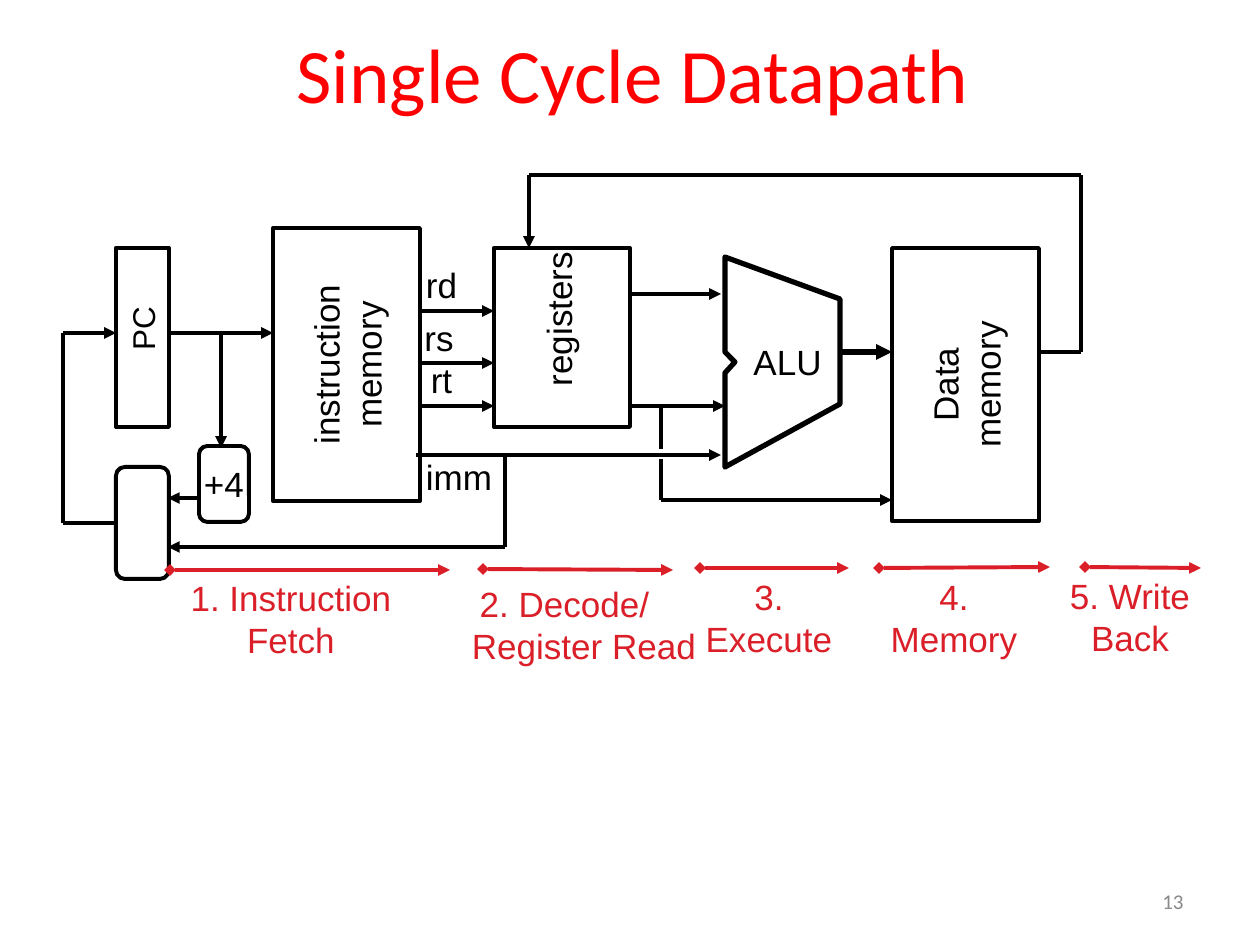
"""Build the single cycle datapath slide."""
import itertools

import pptx
import pptx.dml.color
import pptx.enum.shapes
import pptx.enum.text
import pptx.oxml
import pptx.oxml.ns
import pptx.util

PX = 914400 / 126
SHAPE = pptx.enum.shapes.MSO_SHAPE
ALIGN = pptx.enum.text.PP_ALIGN
COLORS = {"ink": "000000", "stage": "DA1F28", "title": "FF0000", "number": "898989"}

TITLE = ("Single Cycle Datapath", (66, 0, 1134, 145))
NUMBER = ("13", (903, 876, 293, 50))

BLOCKS = {
    "pc": dict(area=(116, 248, 53, 179)),
    "instruction memory": dict(area=(273, 228, 147, 273), lines=["instruction", "memory"], turned=True),
    "increment": dict(area=(199, 446, 50, 76), lines=["+4"], rounded=True),
    "registers": dict(area=(494, 248, 136, 179)),
    "data memory": dict(area=(892, 248, 147, 273), lines=["Data", "memory"], turned=True),
    "adder": dict(area=(116, 467, 53, 112), rounded=True),
}

ALU = [(725, 257), (840, 299), (840, 404), (725, 467), (725, 373), (735, 362), (725, 352)]

LABELS = [
    ("PC", (108, 304, 69, 50), dict(size=18, rotation=270)),
    ("registers", (478, 292, 160, 54), dict(rotation=270)),
    ("ALU", (741, 334, 93, 54), {}),
    ("rd", (413, 257, 57, 54), {}),
    ("rs", (412, 310, 54, 54), {}),
    ("rt", (418, 352, 47, 54), {}),
    ("imm", (413, 449, 92, 54), {}),
]

ARROWS = [
    [(168, 333), (273, 333)],
    [(420, 311), (494, 311)],
    [(420, 363), (494, 363)],
    [(420, 406), (494, 406)],
    [(630, 294), (721, 294)],
    [(630, 406), (725, 406)],
    [(416, 455), (721, 455)],
    [(661, 459), (661, 500), (892, 500)],
    [(1040, 352), (1081, 352), (1081, 175), (529, 175), (529, 248)],
    [(221, 333), (221, 448)],
    [(199, 498), (168, 498)],
    [(505, 455), (505, 547), (168, 547)],
    [(63, 523), (63, 333), (116, 333)],
]

STAGES = [
    (["1. Instruction", "Fetch"], (178, 570, 226, 97), (170, 570), (450, 570), 0),
    (["2. Decode/", "Register Read"], (407, 576, 315, 97), (483, 569), (673, 570), 39),
    (["3. Execute"], (674, 590, 190, 54), (700, 568), (849, 568), 0),
    (["4. Memory"], (859, 590, 190, 54), (879, 568), (1050, 567), 0),
    (["5. Write\vBack"], (1057, 568, 146, 97), (1085, 567), (1201, 568), 0),
]


def emu(length):
    return pptx.util.Emu(round(length * PX))


def rgb(name):
    return pptx.dml.color.RGBColor.from_string(COLORS[name])


def write(shape, lines, size=20, color="ink", font="Arial", align=ALIGN.CENTER, wrap=False, indent=0):
    frame = shape.text_frame
    frame.word_wrap = wrap
    frame.vertical_anchor = pptx.enum.text.MSO_ANCHOR.MIDDLE
    for index, line in enumerate(lines):
        para = frame.add_paragraph() if index else frame.paragraphs[0]
        para.text = line
        para.alignment = align
        if index and indent:
            para._p.get_or_add_pPr().set("marL", str(emu(indent)))
        for span in para.runs:
            span.font.size = pptx.util.Pt(size)
            span.font.name = font
            span.font.color.rgb = rgb(color)


def add_label(page, lines, area, rotation=0, **text_format):
    box = page.shapes.add_textbox(*map(emu, area))
    box.rotation = rotation
    write(box, lines, **text_format)


def outline(shape, weight=2.25):
    shape.shadow.inherit = False
    shape.fill.background()
    shape.line.color.rgb = rgb("ink")
    shape.line.width = pptx.util.Pt(weight)


def add_block(page, area, lines=(), turned=False, rounded=False):
    left, top, width, height = area
    if turned:
        left, top = left + (width - height) / 2, top + (height - width) / 2
        width, height = height, width
    kind = SHAPE.ROUNDED_RECTANGLE if rounded else SHAPE.RECTANGLE
    block = page.shapes.add_shape(kind, *map(emu, (left, top, width, height)))
    block.rotation = 270 if turned else 0
    outline(block)
    write(block, lines)
    return block


def add_wire(page, start, end, head=None, tail=None, color="ink", weight=2.25):
    straight = pptx.enum.shapes.MSO_CONNECTOR.STRAIGHT
    wire = page.shapes.add_connector(straight, *map(emu, start + end))
    wire.line.color.rgb = rgb(color)
    wire.line.width = pptx.util.Pt(weight)
    line = wire.line._get_or_add_ln()
    for tag, kind in (("a:headEnd", head), ("a:tailEnd", tail)):
        if kind:
            line.append(pptx.oxml.parse_xml(f'<{tag} {pptx.oxml.ns.nsdecls("a")} type="{kind}"/>'))
    wire._element.spPr.append(pptx.oxml.parse_xml(f'<a:effectLst {pptx.oxml.ns.nsdecls("a")}/>'))
    return wire


def main():
    deck = pptx.Presentation()
    deck.slide_width, deck.slide_height = emu(1260), emu(945)
    page = deck.slides.add_slide(deck.slide_layouts[6])

    blocks = {name: add_block(page, **block) for name, block in BLOCKS.items()}
    builder = page.shapes.build_freeform(*ALU[0], scale=PX)
    builder.add_line_segments(ALU[1:], close=True)
    outline(builder.convert_to_shape(), weight=3)

    for text, area, text_format in LABELS:
        add_label(page, [text], area, **text_format)

    for route in ARROWS:
        for start, end in itertools.pairwise(route):
            add_wire(page, start, end, tail="triangle" if end == route[-1] else None)
    add_wire(page, (840, 352), (892, 352), tail="triangle", weight=3)
    add_wire(page, (661, 406), (661, 449))
    feedback = add_wire(page, (116, 523), (63, 523))
    feedback.begin_connect(blocks["adder"], 1)

    for lines, area, start, end, indent in STAGES:
        add_label(page, lines, area, color="stage", wrap=indent > 0, indent=indent)
        add_wire(page, start, end, head="diamond", tail="triangle", color="stage")

    text, area = TITLE
    add_label(page, [text], area, size=44, color="title", font="Calibri", wrap=True)
    text, area = NUMBER
    add_label(page, [text], area, size=12, color="number", font="Calibri", align=ALIGN.RIGHT, wrap=True)
    deck.save("out.pptx")


if __name__ == "__main__":
    main()
